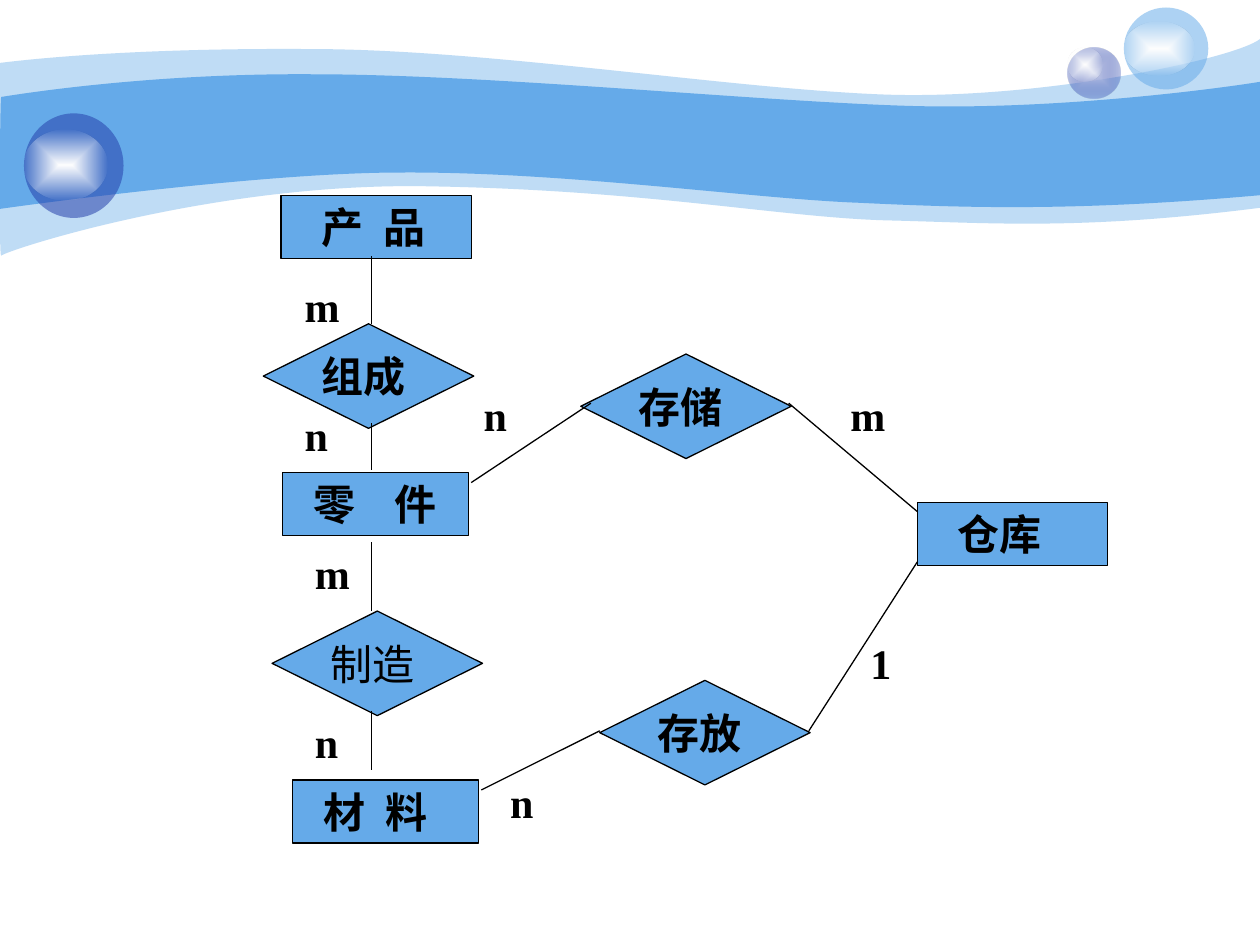
from lxml import etree
from pptx import Presentation
from pptx.dml.color import RGBColor
from pptx.enum import shapes, text
from pptx.oxml import parse_xml
from pptx.oxml.ns import nsdecls, qn
from pptx.util import Inches, Pt

BLUE = RGBColor(0x65, 0xAA, 0xE9)
NAVY = RGBColor(0x23, 0x3D, 0xA9)
PALE = RGBColor(0xC7, 0xCE, 0xE9)
WHITE = RGBColor(0xFF, 0xFF, 0xFF)
BLACK = RGBColor(0, 0, 0)
FONT = "Times New Roman"

# Waves: opacity, start, then curves (three points) and lines (one point)
WAVES = [
    (41, (0, 0.5), [
        [(0.24, 0.47), (1.07, 0.38), (2.47, 0.39)],
        [(3.86, 0.39), (5.75, 0.7), (6.99, 0.75)],
        [(8.22, 0.8), (9.8, 0.47), (10, 0.31)],
        [(10, 1.65)],
        [(8.58, 1.83), (7.87, 1.77), (7.05, 1.75)],
        [(6.22, 1.73), (5.15, 1.51), (3.43, 1.48)],
        [(1.72, 1.44), (0.04, 1.99), (0.01, 2.03)],
        [(-0.01, 2.08), (0, 0.75), (0, 0.5)]]),
    (100, (0.01, 0.77), [
        [(0.02, 0.77), (1.1, 0.58), (2.48, 0.59)],
        [(3.86, 0.59), (5.95, 0.8), (7.18, 0.84)],
        [(8.41, 0.88), (9.76, 0.69), (10, 0.65)],
        [(10, 1.55)],
        [(8.53, 1.68), (7.65, 1.65), (6.82, 1.61)],
        [(5.99, 1.58), (4.47, 1.36), (3.17, 1.37)],
        [(2.03, 1.37), (-0.02, 1.66), (-0.01, 1.66)],
        [(0, 1.66), (0, 0.77), (0.01, 0.77)]]),
]
# Orbs: box, centre colour, edge colour, edge opacity
ORBS = [
    ((8.47, 0.38, 0.42, 0.4), PALE, NAVY, 31),
    ((8.47, 0.38, 0.28, 0.27), WHITE, WHITE, 0),
    ((8.92, 0.06, 0.67, 0.65), None, BLUE, 53),
    ((8.92, 0.17, 0.56, 0.43), WHITE, WHITE, 0),
    ((0.19, 0.9, 0.79, 0.83), None, NAVY, 53),
    ((0.19, 1.03, 0.66, 0.56), WHITE, WHITE, 0),
]
# Entities: text, left, top, width, text indent, tab stop
ENTITIES = [
    ("产\t品", 2.23, 1.55, 1.51, 0.22, 0.49),
    ("零\t件", 2.24, 3.75, 1.48, 0.15, 0.64),
    ("仓库", 7.28, 3.99, 1.51, 0.22, None),
    ("材\t料", 2.32, 6.19, 1.48, 0.15, 0.49),
]
# Relationships: text, left, top, bold
RELATIONSHIPS = [
    ("组成", 2.09, 2.57, True),
    ("制造", 2.16, 4.85, False),
    ("存储", 4.61, 2.81, True),
    ("存放", 4.76, 5.4, True),
]
LINKS = [
    (2.95, 2.57, 2.95, 2.03), (2.95, 3.36, 2.95, 3.73),
    (2.95, 4.85, 2.95, 4.3), (2.95, 5.64, 2.95, 6.11),
    (4.69, 3.2, 3.74, 3.83), (6.26, 3.2, 7.28, 4.06),
    (4.76, 5.8, 3.82, 6.27), (6.42, 5.8, 7.28, 4.46),
]
CARDINALITIES = [
    ("m", 2.32, 2.18), ("n", 2.32, 3.2), ("m", 2.4, 4.3), ("n", 2.4, 5.64),
    ("n", 3.74, 3.04), ("m", 6.65, 3.04), ("n", 3.95, 6.11), ("1", 6.81, 5.01),
]
BOX_HEIGHT, LABEL_WIDTH = 0.5, 0.42
DIAMOND_WIDTH, DIAMOND_HEIGHT = 1.67, 0.83

presentation = Presentation()
presentation.slide_width, presentation.slide_height = Inches(10), Inches(7.5)
slide = presentation.slides.add_slide(presentation.slide_layouts[6])


def write(shape, words, bold=True, indent=0, tab=None, centred=False, right=0.1):
    frame = shape.text_frame
    frame.word_wrap = not centred
    frame.vertical_anchor = text.MSO_ANCHOR.MIDDLE if centred else text.MSO_ANCHOR.TOP
    frame.margin_left, frame.margin_right = Inches(0.1 + indent), Inches(right)
    frame.margin_top = frame.margin_bottom = Inches(0.05)
    paragraph = frame.paragraphs[0]
    paragraph.text = words
    paragraph.alignment = text.PP_ALIGN.CENTER if centred else text.PP_ALIGN.LEFT
    if tab:
        tabs = etree.SubElement(paragraph._p.get_or_add_pPr(), qn("a:tabLst"))
        etree.SubElement(tabs, qn("a:tab"), pos=str(Inches(tab)), algn="l")
    for run in paragraph.runs:
        run.font.name, run.font.size, run.font.bold = FONT, Pt(24), bold
        run.font.color.rgb = BLACK


def paint(shape, color, opacity=100, outlined=False):
    shape.shadow.inherit = False
    shape.fill.solid()
    shape.fill.fore_color.rgb = color
    if opacity < 100:
        color_element = shape._element.spPr.find(qn("a:solidFill"))[0]
        etree.SubElement(color_element, qn("a:alpha"), val=str(opacity * 1000))
    if outlined:
        shape.line.color.rgb = BLACK
        shape.line.width = Pt(0.75)
    else:
        shape.line.fill.background()


def paint_glow(shape, centre, edge, opacity):
    paint(shape, edge)
    solid = shape._element.spPr.find(qn("a:solidFill"))
    solid.getparent().replace(solid, parse_xml(
        f'<a:gradFill {nsdecls("a")} rotWithShape="1"><a:gsLst>'
        f'<a:gs pos="0"><a:srgbClr val="{centre}"/></a:gs>'
        f'<a:gs pos="100000"><a:srgbClr val="{edge}">'
        f'<a:alpha val="{opacity * 1000}"/></a:srgbClr></a:gs></a:gsLst>'
        '<a:path path="rect"><a:fillToRect l="50000" t="50000" r="50000" b="50000"/>'
        '</a:path></a:gradFill>'))


def add_preset(kind, *box):
    return slide.shapes.add_shape(kind, *map(Inches, box))


def add_curved_outline(start, segments):
    """Build through every point, then merge each three-point segment into a curve."""
    points = [(Inches(x), Inches(y)) for segment in segments for x, y in segment]
    builder = slide.shapes.build_freeform(*map(Inches, start))
    builder.add_line_segments(points, close=True)
    shape = builder.convert_to_shape()
    steps = iter(list(shape._element.spPr.iter(qn("a:lnTo"))))
    for segment in segments:
        parts = [next(steps) for _ in segment]
        if len(parts) == 3:
            curve = etree.Element(qn("a:cubicBezTo"))
            parts[0].addprevious(curve)
            for part in parts:
                curve.append(part[0])
                part.getparent().remove(part)
    return shape


# Background waves
for opacity, start, segments in WAVES:
    paint(add_curved_outline(start, segments), BLUE, opacity)

# Glossy orbs
for box, centre, edge, opacity in ORBS:
    orb = add_preset(shapes.MSO_SHAPE.OVAL, *box)
    if centre is None:
        paint(orb, edge, opacity)
    else:
        paint_glow(orb, centre, edge, opacity)

# Entities and relationships
for words, left, top, width, indent, tab in ENTITIES:
    entity = add_preset(shapes.MSO_SHAPE.RECTANGLE, left, top, width, BOX_HEIGHT)
    paint(entity, BLUE, outlined=True)
    write(entity, words, indent=indent, tab=tab)

for words, left, top, bold in RELATIONSHIPS:
    diamond = add_preset(shapes.MSO_SHAPE.DIAMOND, left, top, DIAMOND_WIDTH, DIAMOND_HEIGHT)
    paint(diamond, BLUE, outlined=True)
    write(diamond, words, bold=bold, centred=True, right=0.18)

# Links
for ends in LINKS:
    link = slide.shapes.add_connector(shapes.MSO_CONNECTOR.STRAIGHT, *map(Inches, ends))
    link.line.color.rgb = BLACK
    link.line.width = Pt(0.75)
    etree.SubElement(link._element.spPr, qn("a:effectLst"))

# Cardinalities
for words, left, top in CARDINALITIES:
    label = slide.shapes.add_textbox(*map(Inches, (left, top, LABEL_WIDTH, BOX_HEIGHT)))
    write(label, words)

presentation.save("out.pptx")
